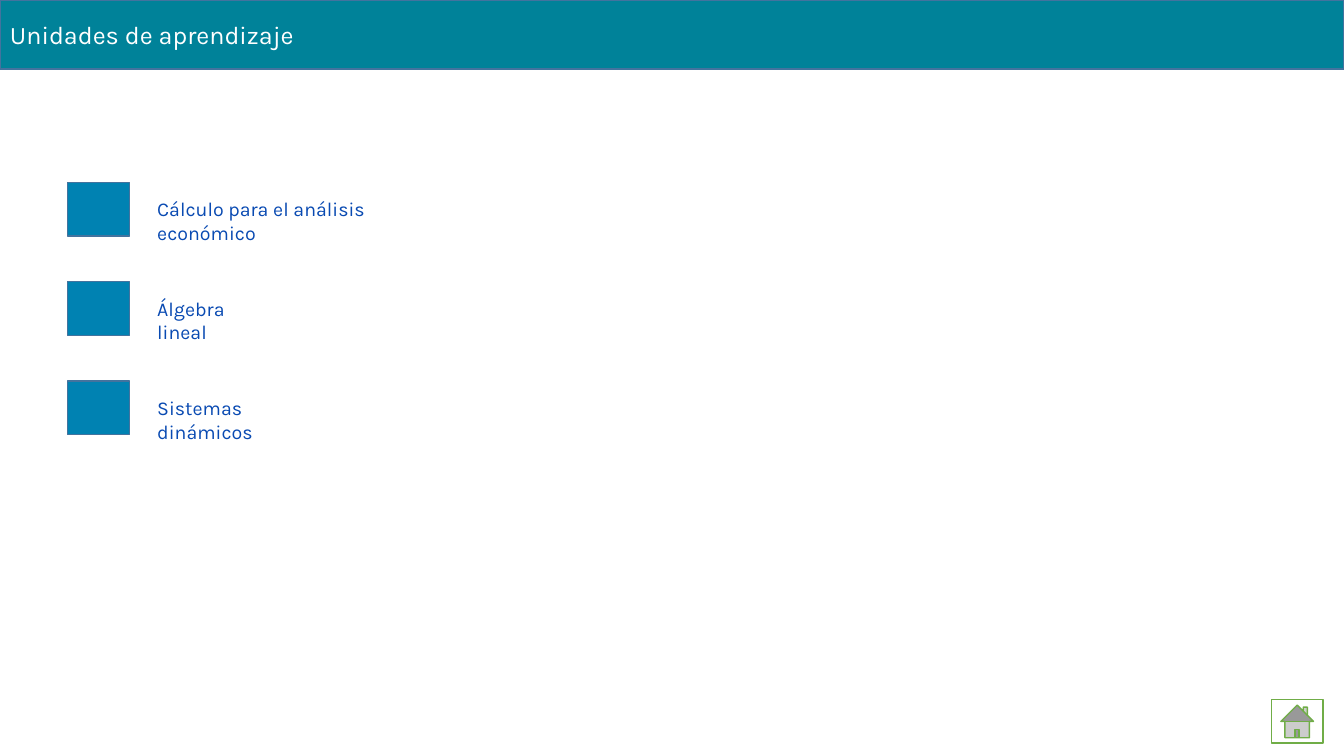
from dataclasses import dataclass
from pptx import Presentation
from pptx.dml.color import RGBColor
from pptx.enum.shapes import MSO_SHAPE
from pptx.enum.text import MSO_ANCHOR, MSO_AUTO_SIZE, PP_ALIGN
from pptx.util import Inches, Pt


@dataclass(frozen=True)
class Theme:
    """Colours, font and type sizes of the slide."""
    font: str = "Karla"
    title_size: int = 18
    unit_size: int = 14
    line_width: int = 1
    header: str = "008299"
    marker: str = "0082B2"
    outline: str = "43739E"
    unit_text: str = "094AB2"
    home_outline: str = "70AD47"
    white: str = "FFFFFF"


THEME = Theme()
WIDTH, HEIGHT = 13.33, 7.5
COLUMN, ROW = WIDTH / 100, HEIGHT / 100
UNITS = [
    ("Cálculo para el análisis económico", 3.16),
    ("Álgebra lineal", 1.39),
    ("Sistemas dinámicos", 1.89),
]


def add_panel(slide, kind, box, fill, outline=None):
    """Add a flat preset shape in a box of inches."""
    shape = slide.shapes.add_shape(kind, *map(Inches, box))
    shape.shadow.inherit = False
    shape.fill.solid()
    shape.fill.fore_color.rgb = RGBColor.from_string(fill)
    if outline:
        shape.line.color.rgb = RGBColor.from_string(outline)
        shape.line.width = Pt(THEME.line_width)
    else:
        shape.line.fill.background()
    return shape


def write(shape, text, size, color, anchor):
    """Write one left-aligned wrapped paragraph in a shape."""
    frame = shape.text_frame
    frame.word_wrap = True
    frame.vertical_anchor = anchor
    paragraph = frame.paragraphs[0]
    paragraph.alignment = PP_ALIGN.LEFT
    run = paragraph.add_run()
    run.text = text
    run.font.name = THEME.font
    run.font.size = Pt(size)
    run.font.color.rgb = RGBColor.from_string(color)


def add_header(slide, box, title):
    """Draw the title band across its box."""
    band = add_panel(slide, MSO_SHAPE.RECTANGLE, box, THEME.header, THEME.outline)
    write(band, title, THEME.title_size, THEME.white, MSO_ANCHOR.MIDDLE)


def add_units(slide, box, units):
    """List the units in equal rows, each with a marker and a label."""
    left, top, width, height = box
    row = height / len(units)
    marker_width, marker_height = width * 0.155, row * 0.54
    label_left, label_drop, label_height = width * 0.2, row * 0.1, row * 0.6
    for index, (name, label_width) in enumerate(units):
        y = top + index * row
        add_panel(slide, MSO_SHAPE.RECTANGLE, (left, y, marker_width, marker_height),
                  THEME.marker, THEME.outline)
        label = add_panel(slide, MSO_SHAPE.RECTANGLE,
                          (left + label_left, y + label_drop, label_width, label_height),
                          THEME.white)
        write(label, name, THEME.unit_size, THEME.unit_text, MSO_ANCHOR.TOP)
        label.text_frame.auto_size = MSO_AUTO_SIZE.SHAPE_TO_FIT_TEXT


def add_home_button(slide, box):
    """Draw the home button in its box."""
    add_panel(slide, MSO_SHAPE.ACTION_BUTTON_HOME, box, THEME.white, THEME.home_outline)


def main():
    """Build and save the slide."""
    deck = Presentation()
    deck.slide_width, deck.slide_height = Inches(WIDTH), Inches(HEIGHT)
    slide = deck.slides.add_slide(deck.slide_layouts[6])
    add_header(slide, (0, 0, WIDTH, 9.15 * ROW), "Unidades de aprendizaje")
    add_units(slide, (5.02 * COLUMN, 24.1 * ROW, 29.7 * COLUMN, 39.45 * ROW), UNITS)
    add_home_button(slide, (94.6 * COLUMN, 92.55 * ROW, 3.83 * COLUMN, 5.75 * ROW))
    deck.save("out.pptx")


main()
